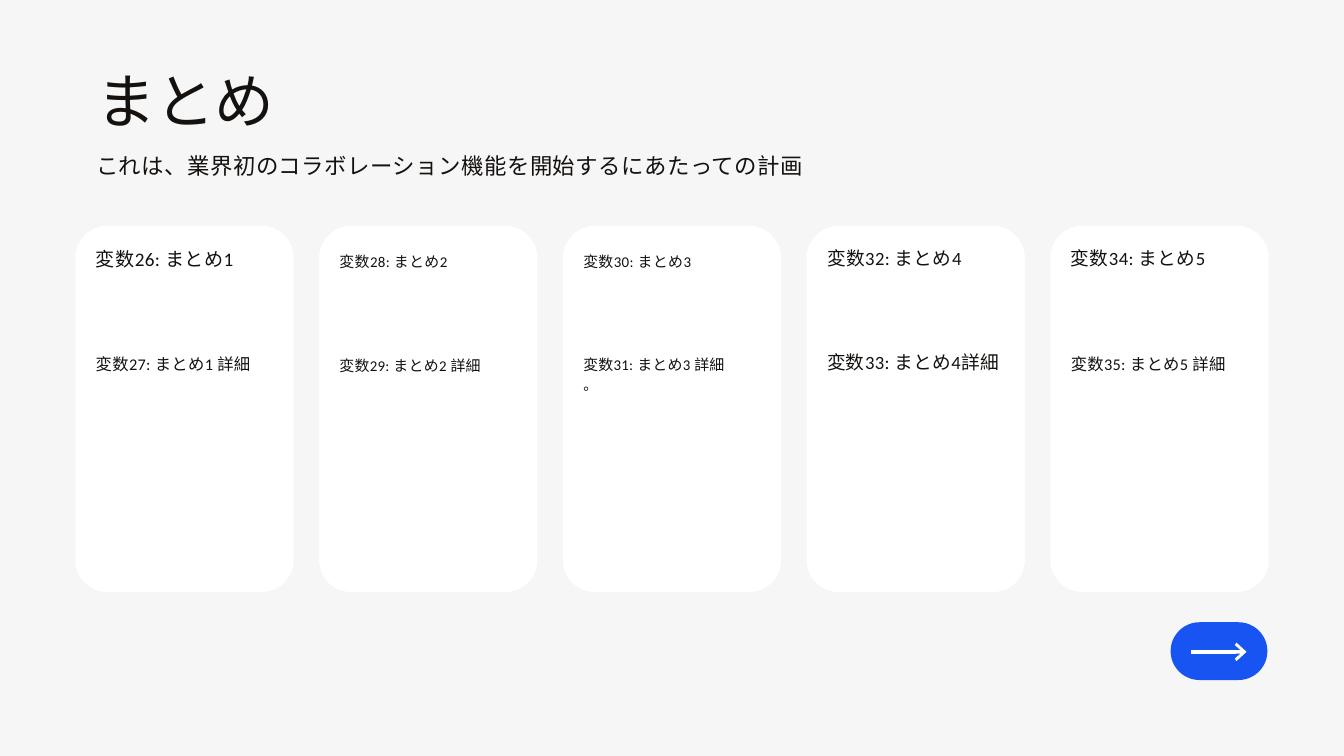
from lxml import etree
from pptx import Presentation
from pptx.dml.color import RGBColor
from pptx.enum import shapes, text
from pptx.oxml.ns import qn
from pptx.util import Inches, Pt

THEME = {
    "font": "Calibri",
    "ink": RGBColor.from_string("14110F"),
    "back": RGBColor.from_string("F6F6F6"),
    "card": RGBColor.from_string("FFFFFF"),
    "accent": RGBColor.from_string("1754F1"),
    "title": {"size": 64, "leading": 76.8, "tracking": -0.6},
    "subtitle": {"size": 24, "leading": 31.2, "tracking": 0.5},
    "heading": {"leading": 28.7, "tracking": 0.4},
    "detail": {"leading": 24.5, "tracking": 0.3},
}

TITLE = "まとめ"
SUBTITLE = "これは、業界初のコラボレーション機能を開始するにあたっての計画"

# Each paragraph: wording, then the formats that differ from its role in THEME.
# Each block: top, height, paragraphs.
CARDS = [
    {"heading": (3.62, 0.38, [("変数26: まとめ1", {"size": 20.5})]),
     "detail": (5.22, 0.33, [("変数27: まとめ1 詳細", {"size": 17.5})])},
    {"heading": (3.63, 0.37, [("変数28: まとめ2", {"size": 16})]),
     "detail": (5.23, 0.32, [("変数29: まとめ2 詳細", {"size": 16})])},
    {"heading": (3.63, 0.37, [("変数30: まとめ3", {"size": 16})]),
     "detail": (5.22, 0.92, [("変数31: まとめ3 詳細", {"size": 16}),
                             ("。", {"size": 15.2, "leading": 21.4})])},
    {"heading": (3.62, 0.37, [("変数32: まとめ4", {"size": 20, "leading": 27.6})]),
     "detail": (5.21, 0.34, [("変数33: まとめ4詳細", {"size": 20})])},
    {"heading": (3.61, 0.38, [("変数34: まとめ5", {"size": 20})]),
     "detail": (5.22, 0.33, [("変数35: まとめ5 詳細", {"size": 17.5})])},
]

CARD_LEFT, CARD_RIGHT, CARD_TOP = 1.12, 18.88, 3.36
CARD_W, CARD_H, CARD_RADIUS = 3.25, 5.45, 0.48
CARD_PAD = 0.305
TEXT_W = CARD_W - 2 * CARD_PAD


def place(sp, left, top, width, height):
    for name, value in zip(("left", "top", "width", "height"), (left, top, width, height)):
        setattr(sp, name, Inches(value))


def write(sp, role, paragraphs):
    tf = sp.text_frame
    frame = {"margin_left": 0, "margin_right": 0, "margin_top": 0, "margin_bottom": 0,
             "word_wrap": True, "auto_size": text.MSO_AUTO_SIZE.NONE,
             "vertical_anchor": text.MSO_ANCHOR.TOP}
    for name, value in frame.items():
        setattr(tf, name, value)
    for i, (words, changes) in enumerate(paragraphs):
        style = {**THEME[role], **changes}
        p = tf.add_paragraph() if i else tf.paragraphs[0]
        p.alignment = text.PP_ALIGN.LEFT
        p.space_before = Pt(0)
        p.line_spacing = Pt(style["leading"])
        r = p.add_run()
        r.text = words
        r.font.name = THEME["font"]
        r.font.size = Pt(style["size"])
        r.font.color.rgb = THEME["ink"]
        r._r.get_or_add_rPr().set("spc", str(round(style["tracking"] * 100)))


def add_pill(slide, left, top, width, height, radius, color):
    sp = slide.shapes.add_shape(shapes.MSO_SHAPE.ROUNDED_RECTANGLE,
                                *map(Inches, (left, top, width, height)))
    sp.adjustments[0] = radius / min(width, height)
    sp.shadow.inherit = False
    sp.fill.solid()
    sp.fill.fore_color.rgb = color
    sp.line.fill.background()


def add_arrow(slide, x1, x2, y):
    line = slide.shapes.add_connector(shapes.MSO_CONNECTOR.STRAIGHT,
                                      *map(Inches, (x1, y, x2, y)))
    line.line.color.rgb = THEME["card"]
    line.line.width = Pt(3.6)
    etree.SubElement(line.line._get_or_add_ln(), qn("a:tailEnd"),
                     type="arrow", w="lg", len="med")
    etree.SubElement(line._element.spPr, qn("a:effectLst"))


def main():
    prs = Presentation()
    prs.slide_width, prs.slide_height = Inches(20), Inches(11.25)
    slide = prs.slides.add_slide(prs.slide_layouts[0])
    slide.background.fill.solid()
    slide.background.fill.fore_color.rgb = THEME["back"]

    title, subtitle = slide.placeholders
    place(title, 1.43, 0.95, 8.24, 1.11)
    write(title, "title", [(TITLE, {})])
    place(subtitle, 1.43, 2.23, 11.98, 0.43)
    write(subtitle, "subtitle", [(SUBTITLE, {})])

    pitch = (CARD_RIGHT - CARD_LEFT - CARD_W) / (len(CARDS) - 1)
    for i, card in enumerate(CARDS):
        left = CARD_LEFT + i * pitch
        add_pill(slide, left, CARD_TOP, CARD_W, CARD_H, CARD_RADIUS, THEME["card"])
        for role, (top, height, paragraphs) in card.items():
            box = slide.shapes.add_textbox(
                *map(Inches, (left + CARD_PAD, top, TEXT_W, height)))
            write(box, role, paragraphs)

    add_pill(slide, 17.42, 9.26, 1.44, 0.86, 0.43, THEME["accent"])
    add_arrow(slide, 17.73, 18.55, 9.7)
    prs.save("out.pptx")


if __name__ == "__main__":
    main()
